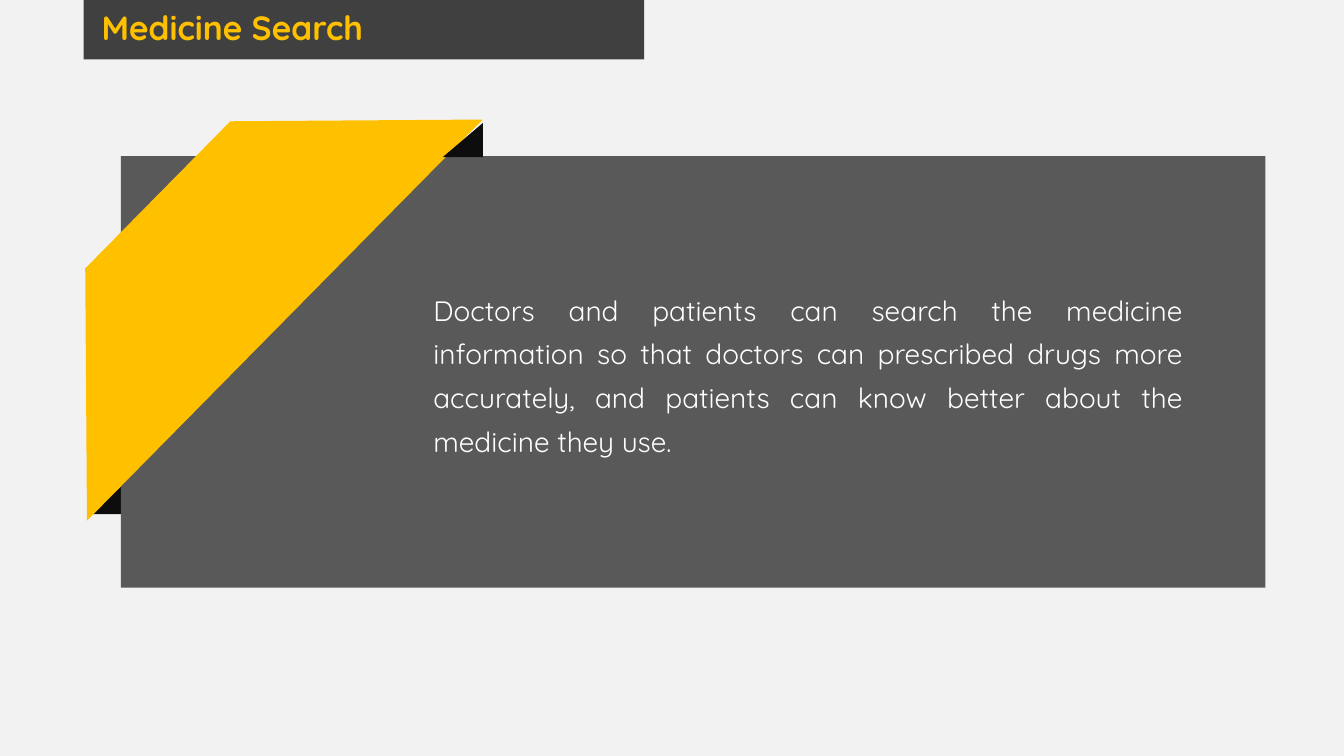
from pptx import Presentation
from pptx.dml.color import RGBColor
from pptx.enum.shapes import MSO_SHAPE
from pptx.enum.text import MSO_ANCHOR, PP_ALIGN
from pptx.util import Inches, Pt

RECT = MSO_SHAPE.RECTANGLE
FOLD = MSO_SHAPE.ISOSCELES_TRIANGLE
BAND = MSO_SHAPE.TRAPEZOID
TOP = MSO_ANCHOR.TOP
LEFT = PP_ALIGN.LEFT
FULL = PP_ALIGN.JUSTIFY

WIDE, HIGH = 13.33, 7.5
FONT = "Quicksand"
PAPER, GOLD, WHITE = "F2F2F2", "FFC000", "FFFFFF"
BAR, PANEL, BLACK = "404040", "595959", "0D0D0D"

TITLE = "Medicine Search"
BODY = (
    "Doctors and patients can search the medicine information so that "
    "doctors can prescribed drugs more accurately, and patients can know "
    "better about the medicine they use."
)

SHAPES = [
    (RECT, (0.83, 0, 5.56, 0.59), BAR, None, 0),
    (FOLD, (0.88, 4.76, 0.4, 0.34), BLACK, 1, 0),
    (RECT, (1.2, 1.55, 11.35, 4.28), PANEL, None, 0),
    (BAND, (-0.6, 1.67, 5.59, 1.77), GOLD, 1, 314.6),
    (FOLD, (4.39, 1.22, 0.4, 0.34), BLACK, 1, 0),
]


def color(code):
    return RGBColor.from_string(code)


def place(box):
    return [Inches(n) for n in box]


def add_part(slide, kind, box, fill, adjust, turn):
    part = slide.shapes.add_shape(kind, *place(box))
    part.shadow.inherit = False
    part.fill.solid()
    part.fill.fore_color.rgb = color(fill)
    part.line.fill.background()
    part.rotation = turn
    if adjust is not None:
        part.adjustments[0] = adjust


def add_text(slide, text, box, size, ink, bold=False, align=LEFT, lines=1.0):
    frame = slide.shapes.add_textbox(*place(box)).text_frame
    frame.word_wrap = True
    frame.vertical_anchor = TOP
    para = frame.paragraphs[0]
    para.alignment = align
    para.line_spacing = lines
    run = para.add_run()
    run.text = text
    run.font.name = FONT
    run.font.size = Pt(size)
    run.font.bold = bold
    run.font.color.rgb = color(ink)


def main():
    deck = Presentation()
    deck.slide_width, deck.slide_height = place((WIDE, HIGH))
    slide = deck.slides.add_slide(deck.slide_layouts[6])
    slide.background.fill.solid()
    slide.background.fill.fore_color.rgb = color(PAPER)
    for part in SHAPES:
        add_part(slide, *part)
    add_text(slide, TITLE, (0.91, 0.06, 3.75, 0.5), 24, GOLD,
             bold=True, lines=0.9)
    add_text(slide, BODY, (4.2, 2.76, 7.63, 1.8), 20, WHITE,
             align=FULL, lines=1.3)
    deck.save("out.pptx")


if __name__ == "__main__":
    main()
